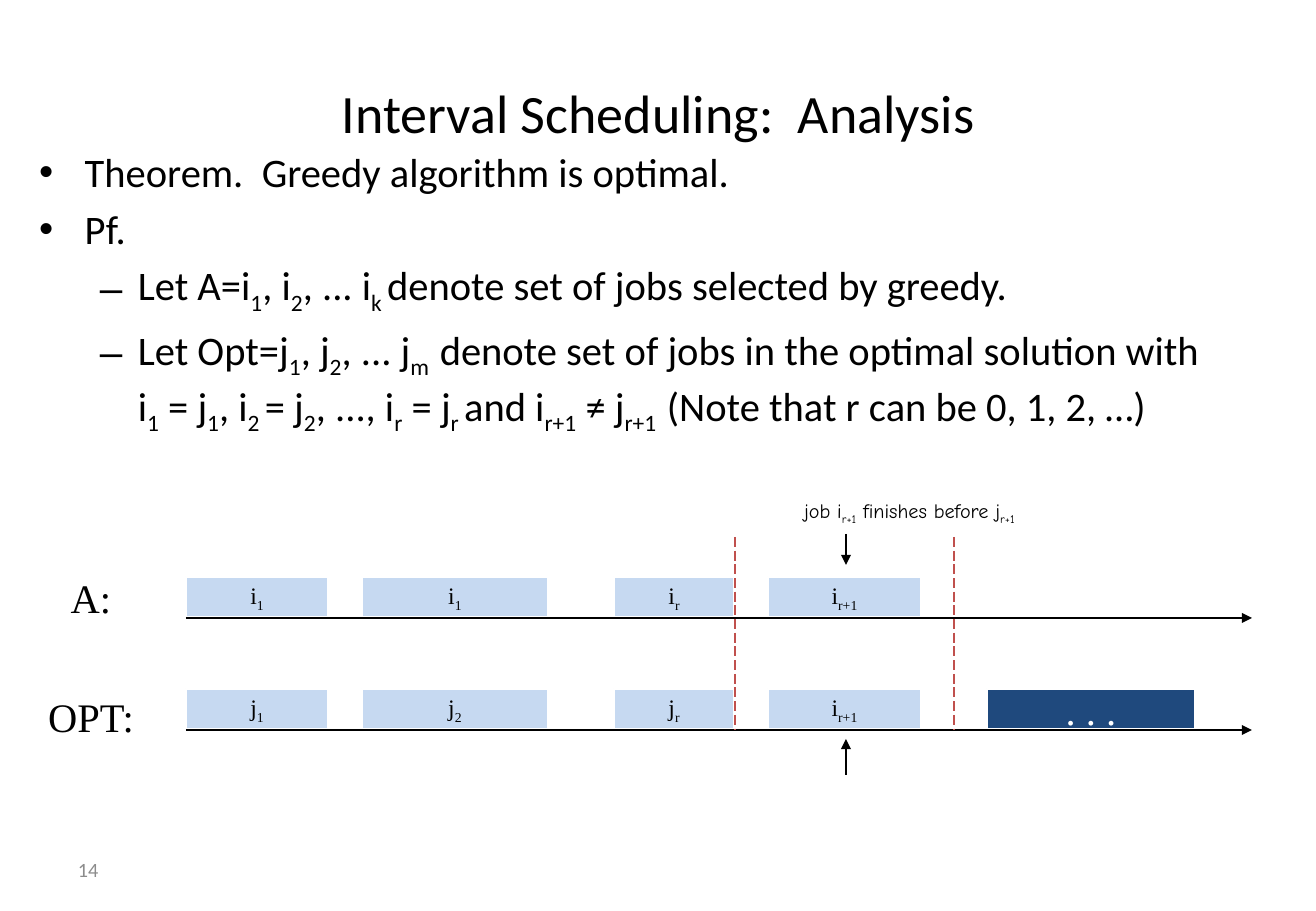
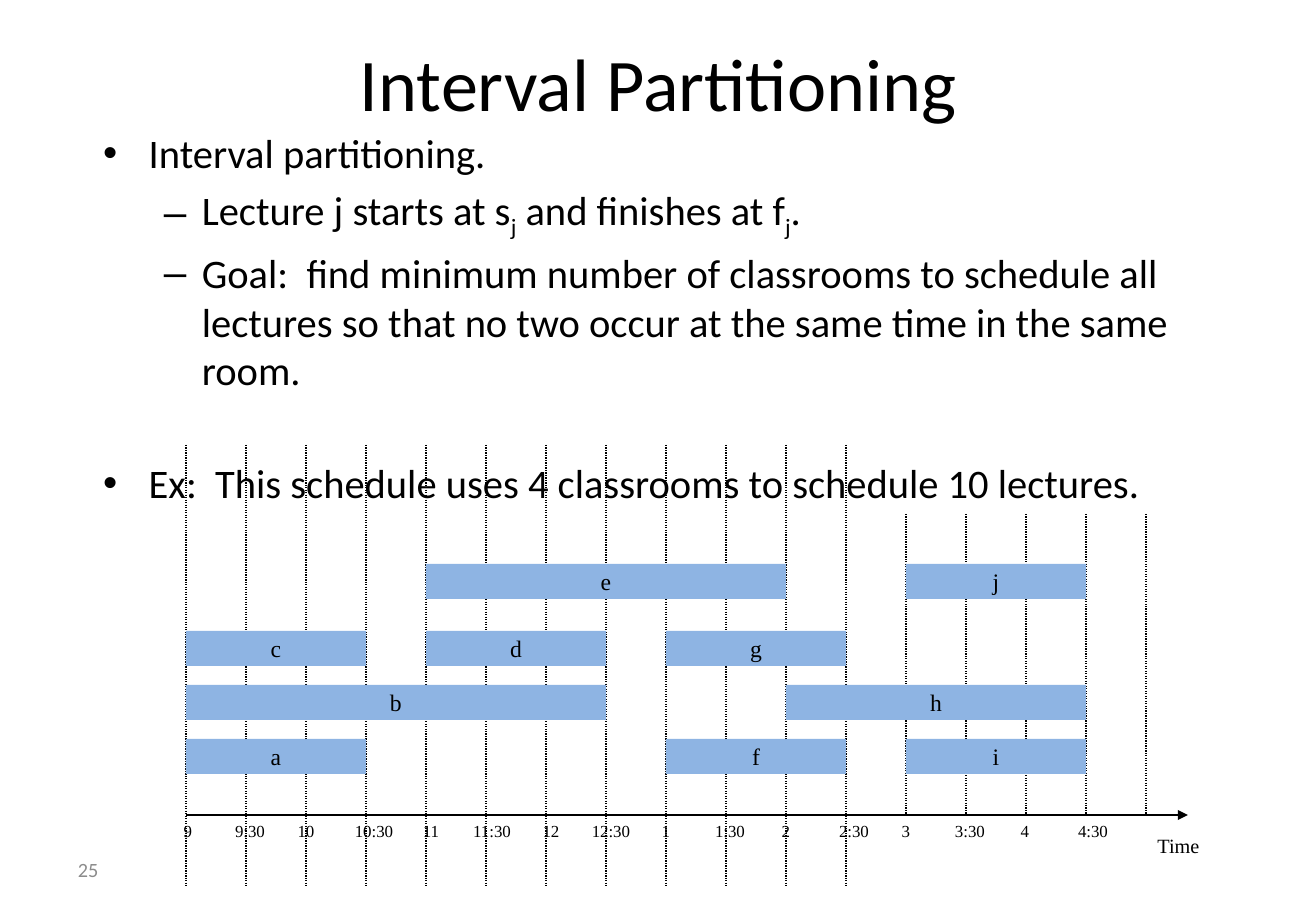
from lxml.etree import SubElement
from pptx import Presentation
from pptx.dml.color import RGBColor
from pptx.enum.dml import MSO_LINE
from pptx.enum.shapes import MSO_CONNECTOR, MSO_SHAPE
from pptx.enum.text import MSO_ANCHOR, MSO_AUTO_SIZE, PP_ALIGN
from pptx.oxml.ns import qn
from pptx.util import Pt

PX = 7526  # EMU per px

BLACK = RGBColor(0x00, 0x00, 0x00)
WHITE = RGBColor(0xFF, 0xFF, 0xFF)
GRAY = RGBColor(0x8C, 0x8C, 0x8C)
RED = RGBColor(0xC0, 0x50, 0x4D)
PALE_BLUE = RGBColor(0xC6, 0xD9, 0xF1)
MID_BLUE = RGBColor(0x8E, 0xB4, 0xE3)
NAVY = RGBColor(0x1F, 0x49, 0x7D)

SANS, SERIF, HAND = "Calibri", "Times New Roman", "Comic Neue"


def put(sp, box, paras, font, size, color=BLACK, align=PP_ALIGN.CENTER,
        anchor=MSO_ANCHOR.MIDDLE, wrap=False):
    """Place a shape and fill in its text; ~x~ marks a subscript."""
    sp.left, sp.top, sp.width, sp.height = (v * PX for v in box)
    tf = sp.text_frame
    tf.auto_size = MSO_AUTO_SIZE.NONE
    tf.word_wrap, tf.vertical_anchor = wrap, anchor
    for n, text in enumerate(paras):
        p = tf.add_paragraph() if n else tf.paragraphs[0]
        p.alignment = align
        if n == 0:
            p.space_before = Pt(0)
        for k, chunk in enumerate(text.split("~")):
            for m, part in enumerate(chunk.split("\n")):
                if m:
                    p.add_line_break()
                r = p.add_run()
                r.text = part
                r.font.name, r.font.size = font, Pt(size)
                r.font.color.rgb = color
                if k % 2:
                    r._r.get_or_add_rPr().set("baseline", "-25000")
    return tf


def line(s, x1, y1, x2, y2, width, color=BLACK, dash=None, arrow=False):
    c = s.shapes.add_connector(MSO_CONNECTOR.STRAIGHT,
                               x1 * PX, y1 * PX, x2 * PX, y2 * PX)
    c.line.color.rgb, c.line.width = color, Pt(width)
    if dash:
        c.line.dash_style = dash
    spPr = c._element.spPr
    if arrow:
        SubElement(spPr.find(qn("a:ln")), qn("a:tailEnd")).set("type", "triangle")
    SubElement(spPr, qn("a:effectLst"))


prs = Presentation()
prs.slide_width, prs.slide_height = 1316 * PX, 911 * PX

# Shared frame: title, bulleted body, slide number
pages = [
    ("Interval Scheduling:  Analysis", 32, 36, "14", (27, 141, 1224, 601), [
        (0, "Theorem.  Greedy algorithm is optimal."),
        (0, "Pf."),
        (1, "Let A=i~1~, i~2~, ... i~k ~denote set of jobs selected by greedy."),
        (1, "Let Opt=j~1~, j~2~, ... j~m  ~denote set of jobs in the optimal "
            "solution with\ni~1~ = j~1~, i~2 ~= j~2~, ..., i~r~ = j~r ~and "
            "i~r+1~ ≠ j~r+1  ~(Note that r can be 0, 1, 2, …)"),
    ]),
    ("Interval Partitioning", 44, 6, "25", (91, 122, 1130, 719), [
        (0, "Interval partitioning."),
        (1, "Lecture j starts at s~j~ and finishes at f~j~."),
        (1, "Goal:  find minimum number of classrooms to schedule all lectures "
            "so that no two occur at the same time in the same room."),
        (0, "Ex:  This schedule uses 4 classrooms to schedule 10 lectures."),
    ]),
]
LEFT_X, STEP, COLUMNS, LONG_LINES = 186, 60, 17, 12
for title, size, top, number, body_box, items in pages:
    s = prs.slides.add_slide(prs.slide_layouts[1])
    if number == "25":
        # Half-hour grid, behind the text
        for n in range(COLUMNS):
            y1, y2 = (445, 886) if n < LONG_LINES else (514, 814)
            x = LEFT_X + n * STEP
            line(s, x, y1, x, y2, 0.75, dash=MSO_LINE.ROUND_DOT)
    put(s.shapes.title, (66, top, 1185, 152), [title], SANS, size, wrap=True)
    tf = put(s.placeholders[1], body_box, [text for _, text in items], SANS, 24,
             align=PP_ALIGN.LEFT, anchor=MSO_ANCHOR.TOP, wrap=True)
    for p, (level, _) in zip(tf.paragraphs, items):
        p.level = level
    put(s.shapes.add_textbox(0, 0, 0, 0), (66, 845, 307, 49), [number],
        SANS, 12, GRAY, PP_ALIGN.LEFT)

analysis, partitioning = prs.slides

# Analysis: the greedy and the optimal timelines
s = analysis
slots = [(186, 142), (362, 186), (614, 120), (768, 153), (987, 208)]
timelines = [
    ("A:", 91, 597, 577, ["i~1~", "i~1~", "i~r~", "i~r+1~"]),
    ("OPT:", 91, 716, 689, ["j~1~", "j~2~", "j~r~", "i~r+1~", ". . ."]),
]
for name, mid_x, mid_y, top, jobs in timelines:
    for (x, w), job in zip(slots, jobs):
        rest = job == ". . ."
        sp = s.shapes.add_shape(MSO_SHAPE.RECTANGLE, 0, 0, 0, 0)
        sp.shadow.inherit = False
        sp.fill.solid()
        sp.fill.fore_color.rgb = NAVY if rest else PALE_BLUE
        sp.line.color.rgb, sp.line.width = WHITE, Pt(0.75)
        put(sp, (x, top, w, 40), [job], SERIF, 24 if rest else 14,
            WHITE if rest else BLACK)
    put(s.shapes.add_textbox(0, 0, 0, 0), (mid_x - 56, mid_y - 31, 112, 62),
        [name], SERIF, 24)
    line(s, 186, top + 41, 1252, top + 41, 1, arrow=True)

# Analysis: finish marks and the remark
for x in (735, 954):
    line(s, x, 537, x, 729, 0.75, RED, MSO_LINE.LONG_DASH)
for y1, y2 in ((534, 565), (775, 739)):
    line(s, 846, y1, 846, y2, 1.25, arrow=True)
tf = put(s.shapes.add_textbox(0, 0, 0, 0), (755, 498, 309, 24),
         ["job i~r+1~ finishes before j~r+1~"], HAND, 12,
         anchor=MSO_ANCHOR.TOP, wrap=True)
tf.margin_left = tf.margin_right = tf.margin_top = tf.margin_bottom = 0

# Partitioning: time axis, each label with its shift from the grid line
s = partitioning
line(s, LEFT_X, 815, 1188, 815, 1.25, arrow=True)
put(s.shapes.add_textbox(0, 0, 0, 0), (1131, 827, 95, 36), ["Time"], SERIF, 12,
    anchor=MSO_ANCHOR.TOP, wrap=True)
hours = [("9", 2), ("9:30", 4), ("10", 0), ("10:30", 8), ("11", 5), ("11:30", 6),
         ("12", 5), ("12:30", 5), ("1", 0), ("1:30", 4), ("2", 0), ("2:30", 8),
         ("3", 0), ("3:30", 4), ("4", -1), ("4:30", 7)]
for n, (hour, shift) in enumerate(hours):
    put(s.shapes.add_textbox(0, 0, 0, 0),
        (LEFT_X + n * STEP + shift - 32, 815, 64, 33), [hour], SERIF, 10,
        anchor=MSO_ANCHOR.TOP)

# Partitioning: lectures by classroom (name, first half hour, half hours)
classrooms = [
    (564, [("e", 4, 6), ("j", 12, 3)]),
    (631, [("c", 0, 3), ("d", 4, 3), ("g", 8, 3)]),
    (685, [("b", 0, 7), ("h", 10, 5)]),
    (739, [("a", 0, 3), ("f", 8, 3), ("i", 12, 3)]),
]
for top, lectures in classrooms:
    for name, start, span in lectures:
        sp = s.shapes.add_shape(MSO_SHAPE.RECTANGLE, 0, 0, 0, 0)
        sp.shadow.inherit = False
        sp.fill.solid()
        sp.fill.fore_color.rgb = MID_BLUE
        sp.line.fill.background()
        put(sp, (LEFT_X + start * STEP, top, span * STEP, 35), [name], SERIF, 14)

# Wider gap before the example
partitioning.placeholders[1].text_frame.paragraphs[-1].space_before = Pt(38)

prs.save("out.pptx")
